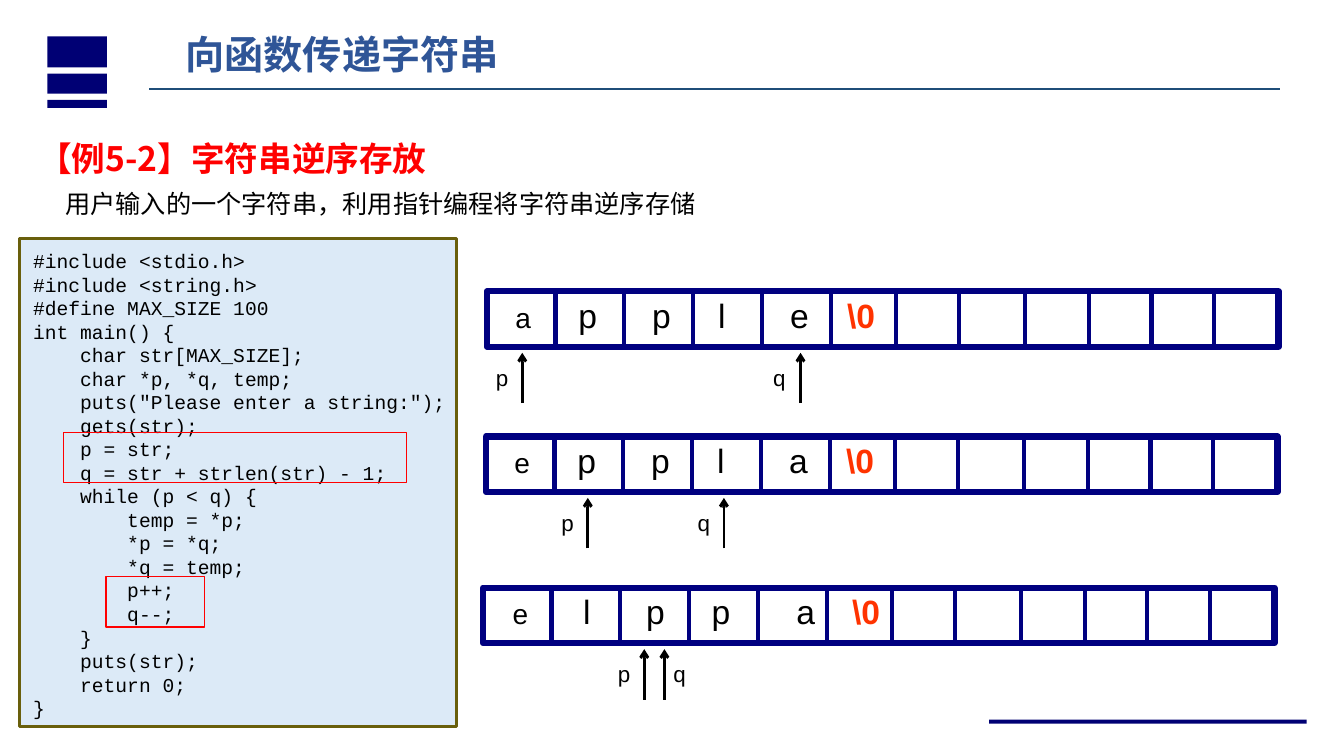
from pptx import Presentation
from pptx.dml.color import RGBColor
from pptx.enum.shapes import MSO_CONNECTOR, MSO_SHAPE
from pptx.enum.text import MSO_ANCHOR, MSO_AUTO_SIZE, PP_ALIGN
from pptx.oxml.ns import qn
from pptx.util import Inches, Pt
from lxml.etree import SubElement

NAVY = RGBColor(0x00, 0x00, 0x74)
CELL_BLUE = RGBColor(0x00, 0x00, 0x80)
TITLE_BLUE = RGBColor(0x2F, 0x55, 0x97)
RULE_BLUE = RGBColor(0x1F, 0x4E, 0x79)
CODE_FILL = RGBColor(0xDC, 0xEA, 0xF7)
CODE_EDGE = RGBColor(0x69, 0x5F, 0x0C)
RED = RGBColor(0xFF, 0x00, 0x00)
ORANGE = RGBColor(0xFF, 0x33, 0x00)
BLACK = RGBColor(0x00, 0x00, 0x00)
CJK = "Noto Sans CJK SC"

CODE = """#include <stdio.h>
#include <string.h>
#define MAX_SIZE 100
int main() {
    char str[MAX_SIZE];
    char *p, *q, temp;
    puts("Please enter a string:");
    gets(str);
    p = str;
    q = str + strlen(str) - 1;
    while (p < q) {
        temp = *p;
        *p = *q;
        *q = temp;
        p++;
        q--;
    }
    puts(str);
    return 0;
}"""

# Cell dividers, measured from the left edge of an array
DIVIDERS = [0.68, 1.36, 2.04, 2.73, 3.41, 4.06, 4.68, 5.34, 5.97, 6.59, 7.21]
ARRAY_W, ARRAY_H = 7.85, 0.55
EARLY_STOPS = [0.36, 1.0, 1.73, 2.33, 3.1, 3.71]
LAST_STOPS = [0.37, 1.03, 1.71, 2.36, 3.2, 3.8]
# left, top, letters, letter centres, pointers as (name, arrow x, label x)
STATES = [
    (4.83, 2.89, "apple", EARLY_STOPS, [("p", 5.18, 4.82), ("q", 7.94, 7.57)]),
    (4.82, 4.33, "eppla", EARLY_STOPS, [("p", 5.83, 5.47), ("q", 7.18, 6.82)]),
    (4.79, 5.83, "elppa", LAST_STOPS, [("p", 6.39, 6.03), ("q", 6.59, 6.58)]),
]


def add_text(paragraph, text, size, font, color, bold=False):
    run = paragraph.add_run()
    run.text = text
    run.font.size, run.font.name, run.font.bold = Pt(size), font, bold
    run.font.color.rgb = color
    SubElement(run.font._element, qn("a:ea")).set("typeface", font)


def add_line(shapes, x1, y1, x2, y2, color, width, arrow=False):
    line = shapes.add_connector(MSO_CONNECTOR.STRAIGHT, *map(Inches, (x1, y1, x2, y2)))
    line.line.color.rgb, line.line.width = color, Pt(width)
    if arrow:
        SubElement(line.line._get_or_add_ln(), qn("a:tailEnd")).set("type", "arrow")
    SubElement(line._element.spPr, qn("a:effectLst"))


prs = Presentation()
prs.slide_width, prs.slide_height = Inches(13.33), Inches(7.5)
slide = prs.slides.add_slide(prs.slide_layouts[1])
shapes = slide.shapes

# Navy bars at the corners and title rule
for bar in [(0.47, 0.36, 0.59, 0.31), (0.47, 0.73, 0.59, 0.2),
            (0.47, 0.99, 0.59, 0.08), (9.81, 7.14, 3.15, 0.04)]:
    block = shapes.add_shape(MSO_SHAPE.RECTANGLE, *map(Inches, bar))
    block.shadow.inherit = False
    block.fill.solid()
    block.fill.fore_color.rgb = NAVY
    block.line.fill.background()
add_line(shapes, 1.48, 0.88, 12.7, 0.88, RULE_BLUE, 1.25)

# Title, example heading and task
title, example = shapes.title, slide.placeholders[1]
task = shapes.add_textbox(0, 0, 0, 0)
for holder, box, text, size, color, bold in [
        (title, (1.74, 0.25, 5.49, 0.97), "向函数传递字符串", 28, TITLE_BLUE, True),
        (example, (0.28, 1.24, 10.44, 0.58), "【例5-2】字符串逆序存放", 24, RED, True),
        (task, (0.55, 1.82, 6.67, 0.4),
         "用户输入的一个字符串，利用指针编程将字符串逆序存储", 18, BLACK, False)]:
    holder.left, holder.top, holder.width, holder.height = map(Inches, box)
    frame = holder.text_frame
    frame.word_wrap, frame.auto_size = True, MSO_AUTO_SIZE.NONE
    frame.vertical_anchor = MSO_ANCHOR.TOP
    line = frame.paragraphs[0]
    line.alignment, line.space_before = PP_ALIGN.LEFT, Pt(0)
    add_text(line, text, size, CJK, color, bold)
heading = example.text_frame.paragraphs[0]
heading.line_spacing = 1.2
heading_props = heading._p.get_or_add_pPr()
heading_props.set("marL", "0")
heading_props.set("indent", "0")
SubElement(heading_props, qn("a:buNone"))

# Array states with their pointers
for left, top, letters, stops, pointers in STATES:
    cells = shapes.add_group_shape().shapes
    outline = cells.add_shape(MSO_SHAPE.RECTANGLE, *map(Inches, (left, top, ARRAY_W, ARRAY_H)))
    outline.shadow.inherit = False
    outline.fill.background()
    outline.line.color.rgb, outline.line.width = CELL_BLUE, Pt(4.5)
    for offset in DIVIDERS:
        add_line(cells, left + offset, top, left + offset, top + ARRAY_H, CELL_BLUE, 3)

    content = cells.add_textbox(*map(Inches, (left, top + 0.03, ARRAY_W, 0.46))).text_frame
    content.word_wrap, content.margin_left = True, 0
    row = content.paragraphs[0]
    row.line_spacing = 0.9
    tabs = SubElement(row._p.get_or_add_pPr(), qn("a:tabLst"))
    for stop in stops:
        tab = SubElement(tabs, qn("a:tab"))
        tab.set("pos", str(Inches(stop)))
        tab.set("algn", "ctr")
    add_text(row, "\t" + letters[0], 20, "Arial", BLACK)
    for letter in letters[1:]:
        add_text(row, "\t" + letter, 24, "Arial", BLACK)
    add_text(row, "\t\\0", 24, "Arial", ORANGE, True)

    for name, arrow_x, label_x in pointers:
        add_line(shapes, arrow_x, top + 1.11, arrow_x, top + 0.61, BLACK, 2, arrow=True)
        label = shapes.add_textbox(*map(Inches, (label_x, top + 0.7, 0.35, 0.34))).text_frame
        label.word_wrap = True
        label.paragraphs[0].line_spacing = 0.9
        add_text(label.paragraphs[0], name, 16, "Arial", BLACK)

# Code panel, listing and red highlights
for box, color, width in [((0.19, 2.37, 4.34, 4.84), CODE_EDGE, 2),
                          ((0.63, 4.29, 3.4, 0.5), RED, 1),
                          ((1.05, 5.72, 0.98, 0.5), RED, 1)]:
    panel = shapes.add_shape(MSO_SHAPE.RECTANGLE, *map(Inches, box))
    panel.shadow.inherit = False
    panel.line.color.rgb, panel.line.width = color, Pt(width)
    if color == RED:
        panel.fill.background()
        continue
    panel.fill.solid()
    panel.fill.fore_color.rgb = CODE_FILL
    listing = shapes.add_textbox(*map(Inches, (0.23, 2.42, 4.44, 4.83))).text_frame
    listing.word_wrap = True
    for number, statement in enumerate(CODE.split("\n")):
        line = listing.add_paragraph() if number else listing.paragraphs[0]
        line.line_spacing = Pt(16.8)
        add_text(line, statement, 14, "Courier New", BLACK)

prs.save("out.pptx")
